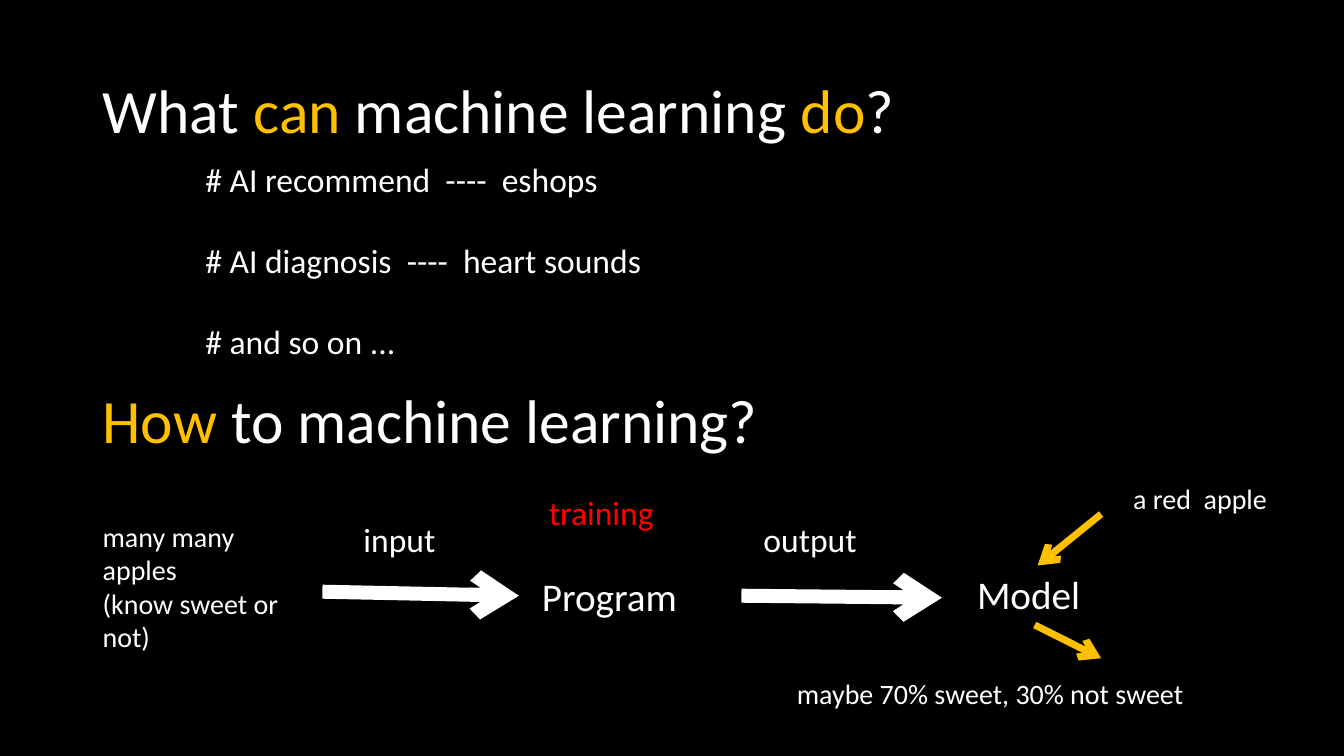
from pptx import Presentation
from pptx.dml.color import RGBColor
from pptx.enum.shapes import MSO_CONNECTOR as Connector
from pptx.enum.text import MSO_ANCHOR as Anchor, MSO_AUTO_SIZE as AutoSize, PP_ALIGN as Align
from pptx.oxml.ns import qn
from pptx.util import Inches, Pt
from lxml.etree import SubElement

WHITE, GOLD, RED, BLACK = "FFFFFF", "FFC000", "FF0000", "000000"


def colour(code):
    return RGBColor.from_string(code)


class Board:
    font = "Calibri"
    columns = rows = 100

    def __init__(self, deck):
        self.column = deck.slide_width / self.columns
        self.row = deck.slide_height / self.rows
        self.slide = deck.slides.add_slide(deck.slide_layouts[5])
        fill = self.slide.background.fill
        fill.solid()
        fill.fore_color.rgb = colour(BLACK)

    def place(self, x, y):
        return round(x * self.column), round(y * self.row)

    def style(self, run, size, code):
        run.font.name = self.font
        run.font.size = Pt(size)
        run.font.color.rgb = colour(code)

    def textbox(self, box):
        return self.slide.shapes.add_textbox(*self.place(*box[:2]), *self.place(*box[2:]))

    def heading(self, holder, box, parts):
        holder.left, holder.top = self.place(*box[:2])
        holder.width, holder.height = self.place(*box[2:])
        frame = holder.text_frame
        frame.word_wrap = True
        frame.auto_size = AutoSize.NONE
        frame.vertical_anchor = Anchor.MIDDLE
        line = frame.paragraphs[0]
        line.alignment = Align.LEFT
        line.line_spacing = 0.9
        for words, code in parts:
            run = line.add_run()
            run.text = words
            self.style(run, 44, code)

    def text(self, box, words, size, code=WHITE, gap=0):
        frame = self.textbox(box).text_frame
        frame.word_wrap = True
        frame.text = words
        for index, line in enumerate(frame.paragraphs):
            line.space_before = Pt(gap if index else 0)
            for run in line.runs:
                self.style(run, size, code)

    def arrow(self, start, end, width, code):
        shaft = self.slide.shapes.add_connector(
            Connector.STRAIGHT, *self.place(*start), *self.place(*end))
        shaft.line.width = Pt(width)
        shaft.line.color.rgb = colour(code)
        SubElement(shaft.line._get_or_add_ln(), qn("a:tailEnd"), type="arrow")
        SubElement(shaft._element.spPr, qn("a:effectLst"))


def main():
    deck = Presentation()
    deck.slide_width, deck.slide_height = Inches(13.34), Inches(7.5)
    board = Board(deck)

    board.heading(board.slide.shapes.title, (6.9, 5.33, 86.2, 19.33), [
        ("What ", WHITE), ("can ", GOLD), ("machine learning ", WHITE),
        ("do", GOLD), ("?", WHITE)])
    how_box = (6.9, 46.4, 86.2, 19.33)
    board.heading(board.textbox(how_box), how_box, [
        ("How ", GOLD), ("to machine learning?", WHITE)])

    uses = ["# AI recommend  ----  eshops", "# AI diagnosis  ----  heart sounds",
            "# and so on ..."]
    board.text((14.54, 20.4, 54.05, 28), "\n".join(uses), 24, gap=28.8)

    for box, words, size, code in [
        ((6.9, 68, 16.87, 19.2), "many many apples\n(know sweet or not)", 20, WHITE),
        ((39.58, 75.07, 15.6, 7.6), "Program", 28, WHITE),
        ((71.96, 74.8, 14.84, 7.6), "Model", 28, WHITE),
        ((26.31, 68, 9.97, 6.67), "input", 24, WHITE),
        ((56.07, 68, 9.9, 6.67), "output", 24, WHITE),
        ((40.1, 64.4, 12.14, 6.67), "training", 24, RED),
        ((83.58, 63.07, 13.94, 5.87), "a red  apple", 20, WHITE),
        ((58.55, 88.8, 38.98, 5.87), "maybe 70% sweet, 30% not sweet", 20, WHITE),
    ]:
        board.text(box, words, size, code)

    for start, end, width, code in [
        ((23.99, 78.27), (38.61, 78.8), 10, WHITE),
        ((55.17, 78.8), (70.09, 79.07), 10, WHITE),
        ((81.93, 68), (77.21, 74.8), 5, GOLD),
        ((76.99, 82.67), (81.93, 87.07), 5, GOLD),
    ]:
        board.arrow(start, end, width, code)

    deck.save("out.pptx")


if __name__ == "__main__":
    main()
